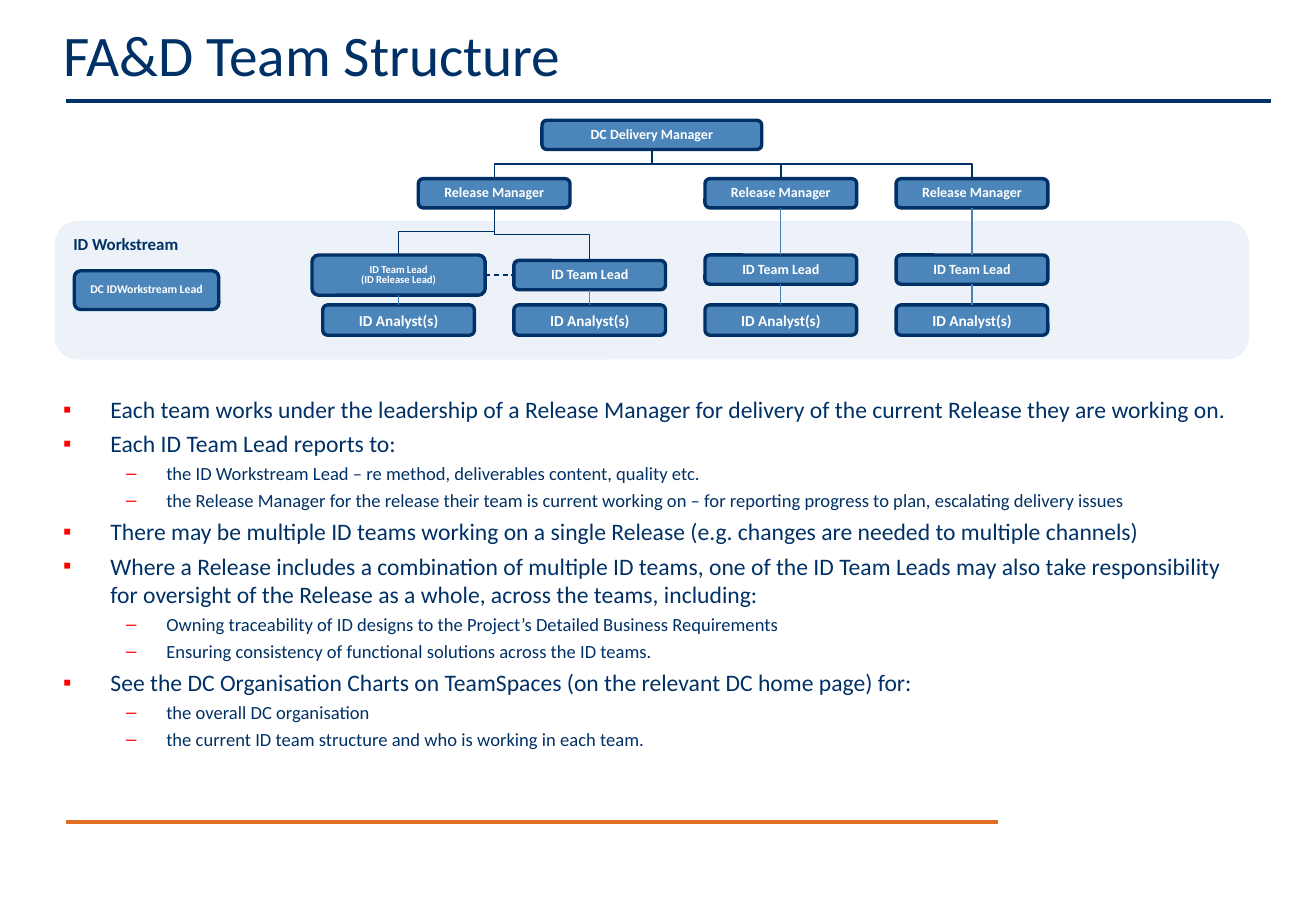
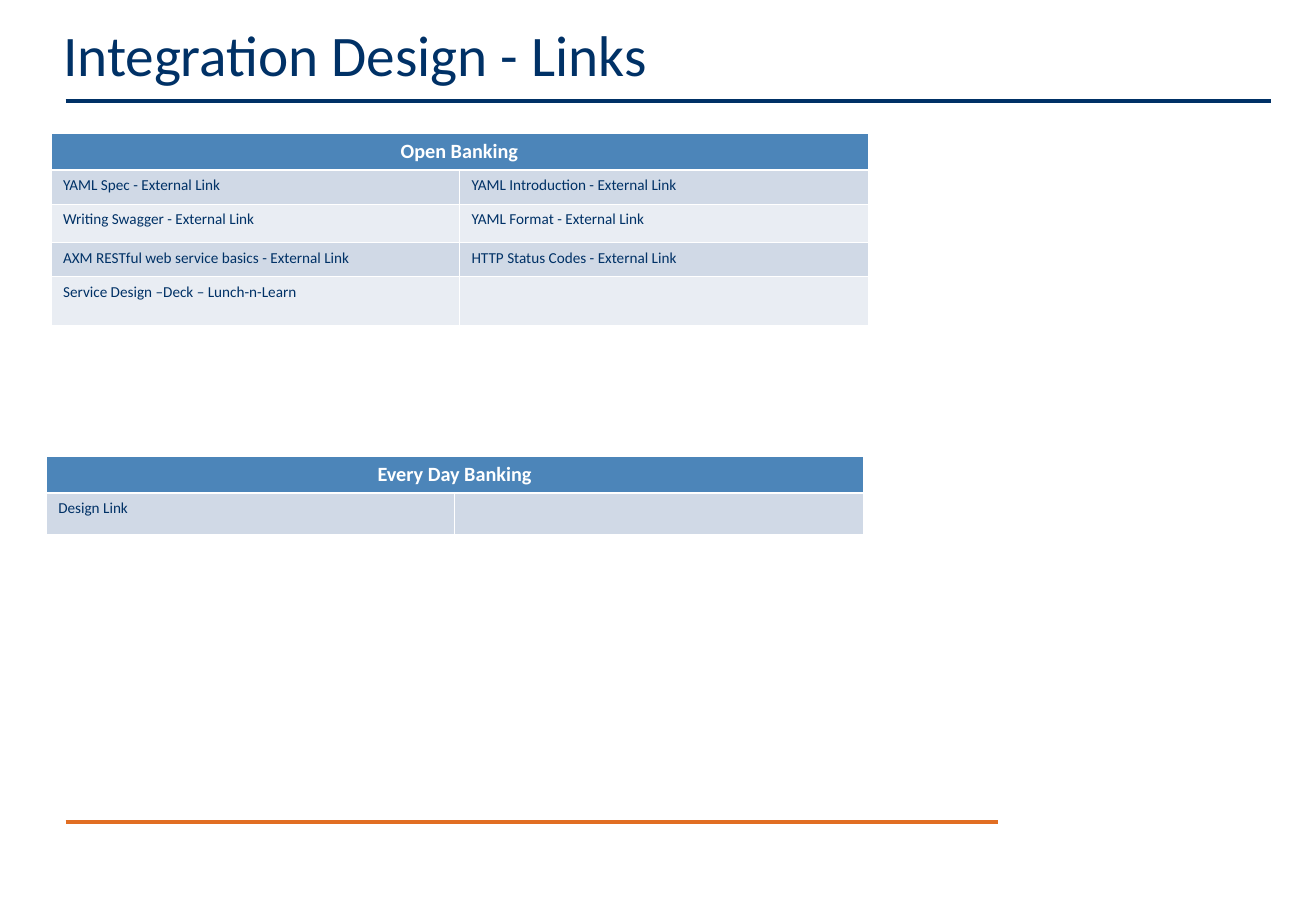
"""Builds the team structure and links slides."""
from collections import namedtuple

from lxml import etree
from pptx import Presentation
from pptx import util as u
from pptx.dml.color import RGBColor
from pptx.enum import dml, shapes, text
from pptx.oxml.ns import qn

COLORS = {"navy": "003166", "blue": "4C85B9", "link": "4782B7", "orange": "E16E23",
          "white": "FFFFFF", "red": "FF0000", "odd": "D0D9E6", "even": "E9EDF3"}
FONT = "Calibri"


class Box(namedtuple("Box", "left top width height")):
    """A rectangle in inches."""

    def inner(self, left, top, width, height):
        """Return the inner box given in percent of this one."""
        return Box(self.left + self.width * left / 100, self.top + self.height * top / 100,
                   self.width * width / 100, self.height * height / 100)

    def centred(self, x, y, width, height):
        """Return the inner box centred on x, y, all in percent."""
        return self.inner(x - width / 2, y - height / 2, width, height)

    def emu(self):
        """Return the four lengths for python-pptx."""
        return [u.Inches(length) for length in self]


PAGE = Box(0, 0, 10.84, 7.5)
TITLE = PAGE.inner(3.87, 1.07, 91.88, 12.13)
BODY = PAGE.inner(3.87, 42.67, 91.88, 43.07)
CHART = PAGE.inner(4.15, 13.2, 90.77, 26.27)

BULLETS = [("▪", 0.39, -0.39, 14, 3.5), ("–", 0.85, -0.33, 11, 2.8)]
POINTS = [
    (0, "Each team works under the leadership of a Release Manager for delivery of the "
        "current Release they are working on."),
    (0, "Each ID Team Lead reports to:"),
    (1, "the ID Workstream Lead – re method, deliverables content, quality etc."),
    (1, "the Release Manager for the release their team is current working on – for "
        "reporting progress to plan, escalating delivery issues"),
    (0, "There may be multiple ID teams working on a single Release (e.g. changes are "
        "needed to multiple channels)"),
    (0, "Where a Release includes a combination of multiple ID teams, one of the ID Team "
        "Leads may also take responsibility for oversight of the Release as a whole, "
        "across the teams, including:"),
    (1, "Owning traceability of ID designs to the Project’s Detailed Business Requirements"),
    (1, "Ensuring consistency of functional solutions across the ID teams."),
    (0, "See the DC Organisation Charts on TeamSpaces (on the relevant DC home page) for:"),
    (1, "the overall DC organisation"),
    (1, "the current ID team structure and who is working in each team."),
]
OPEN_BANKING = [
    ("YAML Spec - External Link", "YAML Introduction - External Link"),
    ("Writing Swagger - External Link", "YAML Format - External Link"),
    ("AXM RESTful web service basics - External Link", "HTTP Status Codes - External Link"),
    ("Service Design –Deck – Lunch-n-Learn", ""),
]


def rgb(name):
    """Return the named colour."""
    return RGBColor.from_string(COLORS[name])


def write(paragraph, words, size, color="navy", bold=False, align=None, spacing=None):
    """Put formatted text in a paragraph."""
    run = paragraph.add_run()
    run.text = words
    run.font.name, run.font.size, run.font.bold = FONT, u.Pt(size), bold
    run.font.color.rgb = rgb(color)
    if align is not None:
        paragraph.alignment = align
    if spacing:
        paragraph.line_spacing = spacing


def place(shape, box):
    """Move a shape to a box."""
    shape.left, shape.top, shape.width, shape.height = box.emu()


def style_line(line, color, width):
    """Colour a connector and drop its shadow."""
    line.line.color.rgb = rgb(color)
    line.line.width = u.Pt(width)
    etree.SubElement(line._element.spPr, qn("a:effectLst"))


def add_master_rules(deck, slide):
    """Draw the title and foot rules and move them to the master."""
    tree = deck.slide_master.shapes._spTree
    for number, (y, right, color) in enumerate([(90.27, 75.83, "orange"),
                                                (11.07, 96.59, "navy")]):
        left, top, width, _ = PAGE.inner(4.98, y, right - 4.98, 0).emu()
        rule = slide.shapes.add_connector(shapes.MSO_CONNECTOR.STRAIGHT,
                                          left, top, left + width, top)
        style_line(rule, color, 2.25)
        rule._element.nvCxnSpPr.cNvPr.set("id", str(50 + number))
        tree.append(rule._element)


def new_slide(deck, layout, title):
    """Add a slide with the shared title style."""
    slide = deck.slides.add_slide(deck.slide_layouts[layout])
    heading = slide.shapes.title
    place(heading, TITLE)
    frame = heading.text_frame
    frame.auto_size = text.MSO_AUTO_SIZE.NONE
    frame.vertical_anchor = text.MSO_ANCHOR.TOP
    frame.margin_top = u.Inches(0.08)
    write(frame.paragraphs[0], title, 34, align=text.PP_ALIGN.LEFT)
    return slide


def add_points(placeholder, box, points):
    """Fill the body placeholder with two levels of bullets."""
    place(placeholder, box)
    frame = placeholder.text_frame
    frame.auto_size = text.MSO_AUTO_SIZE.NONE
    for index, (level, words) in enumerate(points):
        mark, margin, indent, size, before = BULLETS[level]
        point = frame.add_paragraph() if index else frame.paragraphs[0]
        point.level = level
        props = point._p.get_or_add_pPr()
        props.set("marL", str(u.Inches(margin)))
        props.set("indent", str(u.Inches(indent)))
        tint = etree.SubElement(props, qn("a:buClr"))
        etree.SubElement(tint, qn("a:srgbClr"), val=COLORS["red"])
        etree.SubElement(props, qn("a:buChar"), char=mark)
        point.space_before = u.Pt(before if index else 0)
        write(point, words, size)


def add_role(slide, box, words, size, spacing=0.9):
    """Add one rounded role box of the chart."""
    role = slide.shapes.add_shape(shapes.MSO_SHAPE.ROUNDED_RECTANGLE, *box.emu())
    role.shadow.inherit = False
    role.fill.solid()
    role.fill.fore_color.rgb = rgb("blue")
    role.line.color.rgb = rgb("navy")
    role.line.width = u.Pt(2)
    frame = role.text_frame
    frame.word_wrap = True
    frame.vertical_anchor = text.MSO_ANCHOR.MIDDLE
    frame.margin_left = frame.margin_right = frame.margin_top = frame.margin_bottom = 0
    for index, line in enumerate(words.split("\n")):
        paragraph = frame.add_paragraph() if index else frame.paragraphs[0]
        write(paragraph, line, size, "white", True, text.PP_ALIGN.CENTER, spacing)
    return role


def add_workstream(slide, box):
    """Add the pale panel behind the workstream roles."""
    panel = slide.shapes.add_shape(shapes.MSO_SHAPE.ROUNDED_RECTANGLE, *box.emu())
    panel.shadow.inherit = False
    panel.fill.solid()
    panel.fill.fore_color.rgb = rgb("blue")
    tint = panel._element.spPr.find(qn("a:solidFill"))[0]
    etree.SubElement(tint, qn("a:alpha"), val="10000")
    panel.line.fill.background()
    panel.text_frame.word_wrap = True
    panel.text_frame.vertical_anchor = text.MSO_ANCHOR.TOP
    write(panel.text_frame.paragraphs[0], "ID Workstream", 10, bold=True,
          align=text.PP_ALIGN.LEFT)


def connect(slide, start, end, kind, color, sides=(2, 0)):
    """Join two roles at the given sides."""
    line = slide.shapes.add_connector(kind, 0, 0, 0, 0)
    line.begin_connect(start, sides[0])
    line.end_connect(end, sides[1])
    style_line(line, color, 0.75)
    return line


def report(slide, manager, member):
    """Join a manager to a member below, bending where they are not in line."""
    x1, x2 = (role.left + role.width // 2 for role in (manager, member))
    y1, y2 = manager.top + manager.height, member.top
    if abs(x2 - x1) < u.Inches(0.02):
        connect(slide, manager, member, shapes.MSO_CONNECTOR.STRAIGHT, "link")
        return
    line = connect(slide, manager, member, shapes.MSO_CONNECTOR.ELBOW, "navy")
    drop, reach = y2 - y1, abs(x2 - x1)
    line.left, line.top = (x1 + x2 - drop) // 2, (y1 + y2 - reach) // 2
    line.width, line.height = drop, reach
    frame = line._element.spPr.find(qn("a:xfrm"))
    frame.set("rot", "5400000" if x2 < x1 else "16200000")
    frame.set("flipH", "0" if x2 < x1 else "1")
    frame.set("flipV", "0")


def add_team_chart(slide, box):
    """Draw the reporting lines of the four teams."""
    def column(index):
        """Return the centre of a team's column in percent."""
        return 28.8 + 16 * index

    add_workstream(slide, box.inner(0, 42.1, 100, 57.9))
    add_role(slide, box.centred(7.7, 71, 12.1, 16.2), "DC IDWorkstream Lead", 7, 0.8)
    head = add_role(slide, box.centred(50, 6.1, 18.4, 12.2), "DC Delivery Manager", 8.3)
    managers = [add_role(slide, box.centred(column(index), 30.5, 12.7, 12.2),
                         "Release Manager", 8.3) for index in (0.5, 2, 3)]
    leads = [add_role(slide, box.centred(column(0), 64.7, 14.5, 16.8),
                      "ID Team Lead\n(ID Release Lead)", 6.3, 0.8)]
    leads += [add_role(slide, box.centred(column(index), y, 12.7, 12.2), "ID Team Lead", 8.3)
              for index, y in ((1, 64.7), (2, 62.4), (3, 62.4))]
    for index, lead in enumerate(leads):
        analysts = add_role(slide, box.centred(column(index), 83.5, 12.7, 12.7),
                            "ID Analyst(s)", 9, 1.0)
        report(slide, managers[max(index - 1, 0)], lead)
        report(slide, lead, analysts)
    for manager in managers:
        report(slide, head, manager)
    peers = connect(slide, leads[0], leads[1], shapes.MSO_CONNECTOR.STRAIGHT, "navy", (3, 1))
    peers.line.dash_style = dml.MSO_LINE.DASH


def format_cell(cell, words, fill, is_header=False, below_header=False):
    """Set a cell's borders, fill and text."""
    props = cell._tc.get_or_add_tcPr()
    for side in "LRTB":
        heavy = (is_header and side == "B") or (below_header and side == "T")
        edge = etree.SubElement(props, qn("a:ln" + side), w=str(u.Pt(1.47 if heavy else 0.45)))
        paint = etree.SubElement(edge, qn("a:solidFill"))
        etree.SubElement(paint, qn("a:srgbClr"), val=COLORS["white"])
    cell.fill.solid()
    cell.fill.fore_color.rgb = rgb(fill)
    paragraph = cell.text_frame.paragraphs[0]
    if is_header and words:
        write(paragraph, words, 12, "white", True, text.PP_ALIGN.CENTER)
    elif words:
        write(paragraph, words, 9)
    else:
        etree.SubElement(paragraph._p, qn("a:endParaRPr"), sz="900")


def add_links(slide, box, heading, links, shares):
    """Add a two-column table of links under a merged heading."""
    table = slide.shapes.add_table(len(links) + 1, 2, *box.emu()).table
    for row, share in zip(table.rows, shares):
        row.height = u.Inches(box.height * share / sum(shares))
    for index, names in enumerate([(heading, "")] + links):
        fill = ("even", "odd")[index % 2] if index else "blue"
        for column, words in enumerate(names):
            format_cell(table.cell(index, column), words, fill, index == 0, index == 1)
    table.cell(0, 0).merge(table.cell(0, 1))


def main():
    """Build both slides and save them."""
    deck = Presentation()
    deck.slide_width, deck.slide_height = u.Inches(PAGE.width), u.Inches(PAGE.height)

    structure = new_slide(deck, 1, "FA&D Team Structure")
    add_master_rules(deck, structure)
    add_points(structure.placeholders[1], BODY, POINTS)
    add_team_chart(structure, CHART)

    links = new_slide(deck, 5, "Integration Design - Links")
    add_links(links, PAGE.inner(3.87, 14.6, 62.08, 21.07), "Open Banking", OPEN_BANKING,
              (30, 28, 32, 28, 40))
    add_links(links, PAGE.inner(3.51, 50.07, 62.08, 8.53), "Every Day Banking",
              [("Design Link", "")], (30, 34))
    deck.save("out.pptx")


if __name__ == "__main__":
    main()
